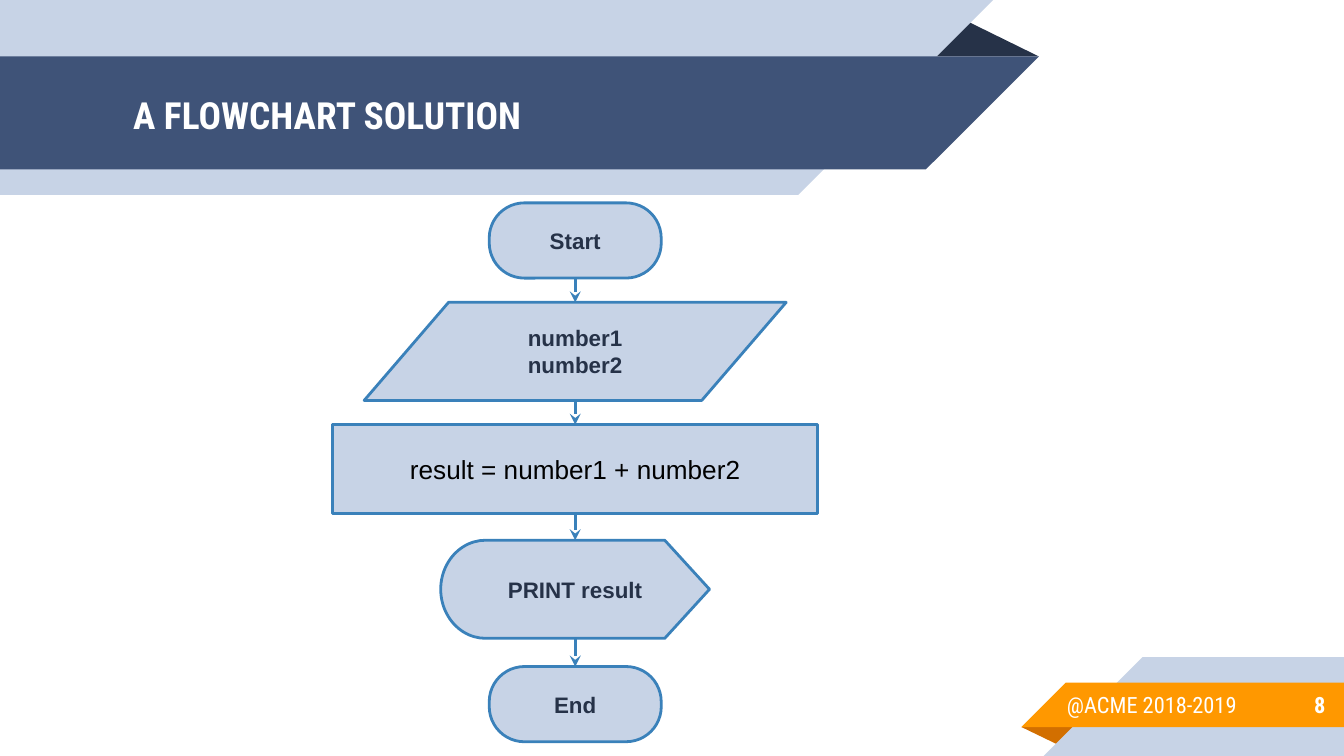
"""Build the flowchart solution slide."""
from lxml import etree
from pptx import Presentation
from pptx.dml.color import RGBColor
from pptx.enum.shapes import MSO_CONNECTOR, MSO_SHAPE
from pptx.enum.text import MSO_ANCHOR, PP_ALIGN
from pptx.oxml.ns import qn
from pptx.util import Inches, Pt

LEFT, CENTER, RIGHT = PP_ALIGN.LEFT, PP_ALIGN.CENTER, PP_ALIGN.RIGHT
TOP, MIDDLE = MSO_ANCHOR.TOP, MSO_ANCHOR.MIDDLE
TERMINAL, PROCESS = MSO_SHAPE.ROUNDED_RECTANGLE, MSO_SHAPE.RECTANGLE
DATA, DISPLAY = MSO_SHAPE.FLOWCHART_DATA, MSO_SHAPE.FLOWCHART_DISPLAY
STRAIGHT = MSO_CONNECTOR.STRAIGHT

WHITE = RGBColor(0xFF, 0xFF, 0xFF)
BLACK = RGBColor(0x00, 0x00, 0x00)
NAVY = RGBColor(0x26, 0x32, 0x48)
SLATE = RGBColor(0x3F, 0x53, 0x78)
PALE = RGBColor(0xC7, 0xD3, 0xE6)
BLUE = RGBColor(0x3A, 0x81, 0xBA)
ORANGE = RGBColor(0xFF, 0x98, 0x00)
RUST = RGBColor(0xD2, 0x6F, 0x00)

WIDTH = 10
HEIGHT = WIDTH * 9 / 16
FLOW_CENTER = 4.28
HEADING_FONT, BODY_FONT = "Roboto Condensed", "Arial"


def write(frame, text, *, size=12, font=BODY_FONT, color=NAVY, bold=False,
          align=CENTER, anchor=MIDDLE):
    frame.text = text
    frame.word_wrap = True
    frame.vertical_anchor = anchor
    frame.margin_left = frame.margin_right = Inches(0.1)
    frame.margin_top = frame.margin_bottom = Inches(0.1)
    for paragraph in frame.paragraphs:
        paragraph.alignment = align
        for run in paragraph.runs:
            run.font.name = font
            run.font.size = Pt(size)
            run.font.bold = bold
            run.font.color.rgb = color


class FlowSlide:
    def __init__(self, slide, line_color=BLUE, line_width=1.5):
        self.slide = slide
        self.shapes = slide.shapes
        self.line_color = line_color
        self.line_width = Pt(line_width)

    def ribbon(self, points, color):
        corners = [(Inches(x), Inches(y)) for x, y in points]
        builder = self.shapes.build_freeform(*corners[0])
        builder.add_line_segments(corners[1:], close=True)
        band = builder.convert_to_shape()
        band.shadow.inherit = False
        band.fill.solid()
        band.fill.fore_color.rgb = color
        band.line.fill.background()

    def title(self, text, box):
        heading = self.shapes.title
        heading.left, heading.top, heading.width, heading.height = map(Inches, box)
        write(heading.text_frame, text, size=20, font=HEADING_FONT,
              color=WHITE, bold=True, align=LEFT)
        heading.element.getparent().append(heading.element)

    def label(self, text, box, **style):
        caption = self.shapes.add_textbox(*map(Inches, box))
        write(caption.text_frame, text, font=HEADING_FONT, color=WHITE, **style)

    def step(self, kind, text, top, width, height, **style):
        left = FLOW_CENTER - width / 2
        node = self.shapes.add_shape(kind, *map(Inches, (left, top, width, height)))
        node.shadow.inherit = False
        node.fill.solid()
        node.fill.fore_color.rgb = PALE
        node.line.color.rgb = self.line_color
        node.line.width = self.line_width
        if kind == TERMINAL:
            node.adjustments[0] = 0.467
        if kind == DISPLAY:
            node.element.spPr.find(qn("a:xfrm")).set("flipH", "1")
        write(node.text_frame, text, **style)

    def arrow(self, start, end):
        x = Inches(FLOW_CENTER)
        link = self.shapes.add_connector(STRAIGHT, x, Inches(start), x, Inches(end))
        link.line.color.rgb = self.line_color
        link.line.width = self.line_width
        properties = link.element.spPr
        line = properties.find(qn("a:ln"))
        etree.SubElement(line, qn("a:tailEnd"), type="stealth")
        etree.SubElement(properties, qn("a:effectLst"))


def main():
    deck = Presentation()
    deck.slide_width, deck.slide_height = Inches(WIDTH), Inches(HEIGHT)
    page = FlowSlide(deck.slides.add_slide(deck.slide_layouts[5]))

    page.ribbon([(6.88, 0.42), (7.16, 0.14), (7.73, 0.42)], NAVY)
    for top, height, base, color in [(0, 1.45, 5.94, PALE), (0.42, 0.84, 6.89, SLATE)]:
        page.ribbon([(0, top), (base + height, top), (base, top + height),
                     (0, top + height)], color)
    page.ribbon([(7.6, 5.41), (8.03, 5.41), (7.89, 5.55)], RUST)
    for top, bottom, base, color in [(4.89, HEIGHT, 8.5, PALE), (5.08, 5.41, 7.93, ORANGE)]:
        page.ribbon([(base, top), (WIDTH, top), (WIDTH, bottom),
                     (base - bottom + top, bottom)], color)

    page.title("A FLOWCHART SOLUTION", (0.89, 0.43, 5.75, 0.84))
    page.label("8", (8.33, 5.07, 1.63, 0.35), bold=True, align=RIGHT)
    page.label("@ACME 2018-2019", (7.84, 5.04, 1.79, 0.55), align=LEFT, anchor=TOP)

    strong = {"bold": True}
    plain = {"size": 14, "color": BLACK}
    steps = [
        (TERMINAL, "Start", 1.51, 1.28, 0.56, strong),
        (DATA, "number1\nnumber2", 2.25, 3.14, 0.73, strong),
        (PROCESS, "result = number1 + number2", 3.16, 3.61, 0.66, plain),
        (DISPLAY, "PRINT result", 4.02, 2, 0.73, strong),
        (TERMINAL, "End", 4.96, 1.28, 0.56, strong),
    ]
    for kind, text, top, width, height, style in steps:
        page.step(kind, text, top, width, height, **style)
    for upper, lower in zip(steps, steps[1:]):
        page.arrow(upper[2] + upper[4], lower[2])

    deck.save("out.pptx")


if __name__ == "__main__":
    main()
